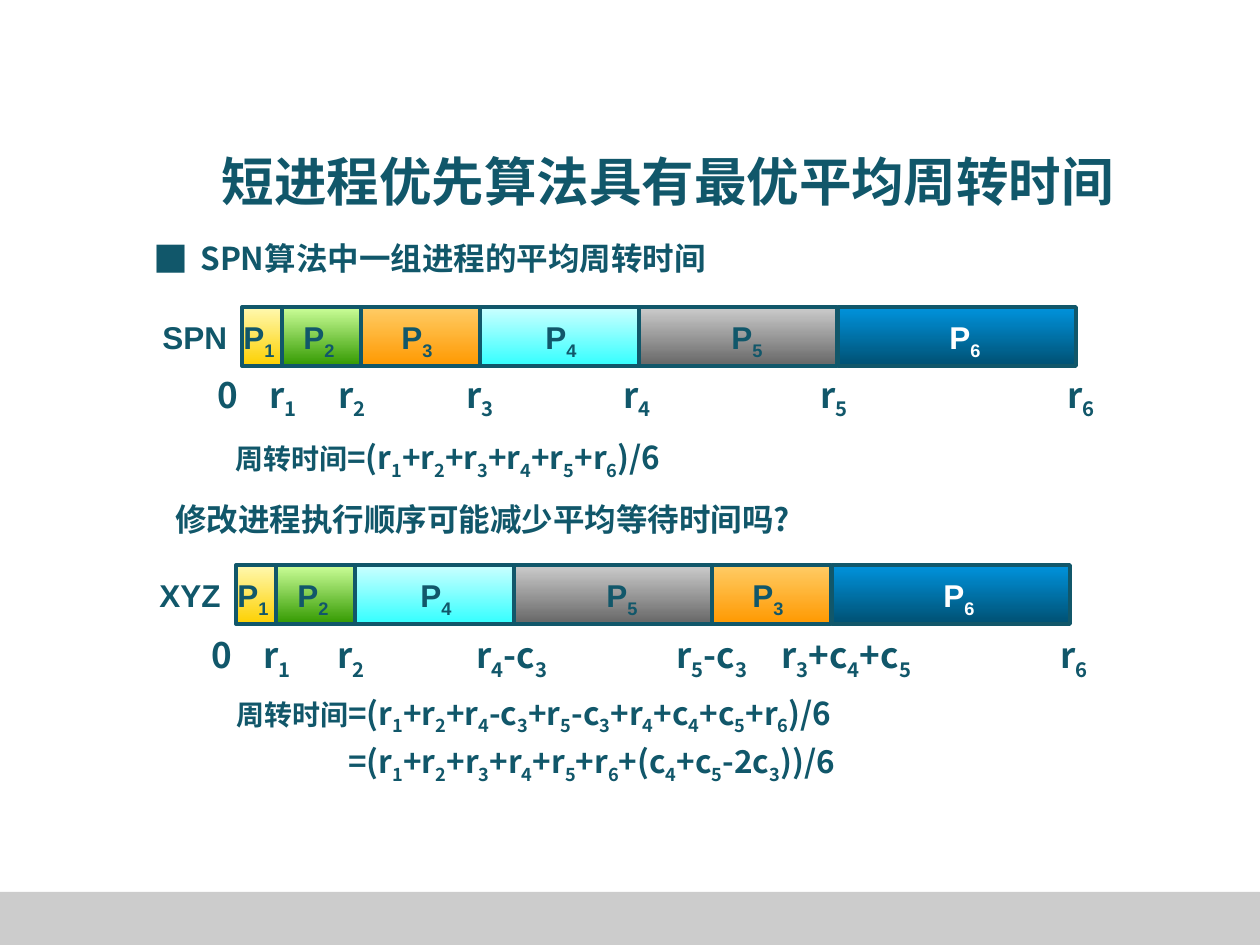
from dataclasses import dataclass
from lxml.etree import SubElement
from pptx import Presentation
from pptx.dml.color import RGBColor
from pptx.enum.shapes import MSO_SHAPE
from pptx.enum.text import MSO_ANCHOR, PP_ALIGN
from pptx.oxml.ns import qn
from pptx.util import Emu, Pt


@dataclass(frozen=True)
class Theme:
    ink: str = "11576A"
    white: str = "FFFFFF"
    footer: str = "CCCCCC"
    sans: str = "Arial"
    cjk: str = "Noto Sans CJK SC"
    square: str = "Noto Sans CJK JP"
    title: int = 30
    tick: int = 20
    body: int = 18
    small: int = 16
    border: float = 2.25


theme = Theme()
PX = 914400 / 126


def box(x, y, w, h):
    return [Emu(round(v * PX)) for v in (x, y, w, h)]


def add_text(x, y, w, h, parts, font=theme.cjk, color=theme.ink, wrap=True, spacing=None):
    tb = s.shapes.add_textbox(*box(x, y, w, h))
    tf = tb.text_frame
    tf.word_wrap = wrap
    p = tf.paragraphs[0]
    p.line_spacing = spacing
    for text, size in parts:
        for i, piece in enumerate(text.split("_")):
            runs = [(piece[:1], True), (piece[1:], False)] if i else [(piece, False)]
            for content, lowered in runs:
                if not content:
                    continue
                r = p.add_run()
                r.text = content
                r.font.size = Pt(size)
                r.font.bold = True
                r.font.name = font
                r.font.color.rgb = RGBColor.from_string(color)
                rpr = r.font._element
                SubElement(rpr, qn("a:ea")).set("typeface", font)
                if lowered:
                    rpr.set("baseline", "-25000")
    return tf


prs = Presentation()
prs.slide_width, prs.slide_height = box(0, 0, 1260, 945)[2:]
s = prs.slides.add_slide(prs.slide_layouts[6])

footer = s.shapes.add_shape(MSO_SHAPE.RECTANGLE, *box(0, 892, 1260, 53))
footer.shadow.inherit = False
footer.fill.solid()
footer.fill.fore_color.rgb = RGBColor.from_string(theme.footer)
footer.line.fill.background()

title = add_text(101, 145, 1134, 71, [("短进程优先算法具有最优平均周转时间", theme.title)])
title.vertical_anchor = MSO_ANCHOR.MIDDLE
title.paragraphs[0].alignment = PP_ALIGN.CENTER
add_text(141, 231, 59, 55, [("■", theme.tick)], font=theme.square)

body_lines = [
    (188, 237, 595, [("SPN算法中一组进程的平均周转时间", theme.body)]),
    (223, 432, 576, [("周转时间", theme.small), ("=(r_1+r_2+r_3+r_4+r_5+r_6)/6", theme.body)]),
    (163, 498, 969, [("修改进程执行顺序可能减少平均等待时间吗?", theme.body)]),
    (224, 688, 703, [("周转时间", theme.small),
                     ("=(r_1+r_2+r_4-c_3+r_5-c_3+r_4+c_4+c_5+r_6)/6", theme.body)]),
    (336, 736, 703, [("=(r_1+r_2+r_3+r_4+r_5+r_6+(c_4+c_5-2c_3))/6", theme.body)]),
]
for x, y, w, parts in body_lines:
    add_text(x, y, w, 52, parts, spacing=0.9)

processes = {
    1: ("FFF9B1", "FDD000", -11, theme.ink),
    2: ("CCFF99", "339900", 9, theme.ink),
    3: ("FFCC66", "FF9900", 28, theme.ink),
    4: ("CCFFFF", "33FFFF", 53, theme.ink),
    5: ("CCCCCC", "666666", 80, theme.ink),
    6: ("0093DD", "005072", 99, theme.white),
}
UNIT = 39.7
schedules = [
    ("SPN", 150, 98, 242, 307, 367, (1, 2, 3, 4, 5, 6),
     [("0", 205, 49), ("r_1", 257, 59), ("r_2", 326, 59), ("r_3", 454, 59),
      ("r_4", 611, 59), ("r_5", 808, 59), ("r_6", 1055, 59)]),
    ("XYZ", 147, 96, 236, 565, 627, (1, 2, 4, 5, 3, 6),
     [("0", 199, 49), ("r_1", 251, 59), ("r_2", 325, 59), ("r_4-c_3", 464, 108),
      ("r_5-c_3", 664, 108), ("r_3+c_4+c_5", 769, 227), ("r_6", 1048, 59)]),
]
for name, name_x, name_w, left, top, tick_y, order, ticks in schedules:
    add_text(name_x, top + 5, name_w, 50, [(name, theme.body)], font=theme.sans, wrap=False)
    x = left
    for number in order:
        light, dark, offset, color = processes[number]
        bar = s.shapes.add_shape(MSO_SHAPE.RECTANGLE, *box(round(x), top, round(number * UNIT), 59))
        bar.shadow.inherit = False
        bar.fill.gradient()
        bar.fill.gradient_angle = 270
        for stop, shade in zip(bar.fill.gradient_stops, (light, dark)):
            stop.color.rgb = RGBColor.from_string(shade)
        bar.line.color.rgb = RGBColor.from_string(theme.ink)
        bar.line.width = Pt(theme.border)
        x += number * UNIT
    x = left
    for number in order:
        offset, color = processes[number][2:]
        add_text(round(x) + offset, top + 5, 64, 50, [(f"P_{number}", theme.body)],
                 font=theme.sans, color=color, wrap=False)
        x += number * UNIT
    for label, tick_x, tick_w in ticks:
        add_text(tick_x, tick_y, tick_w, 59, [(label, theme.tick)])

prs.save("out.pptx")
